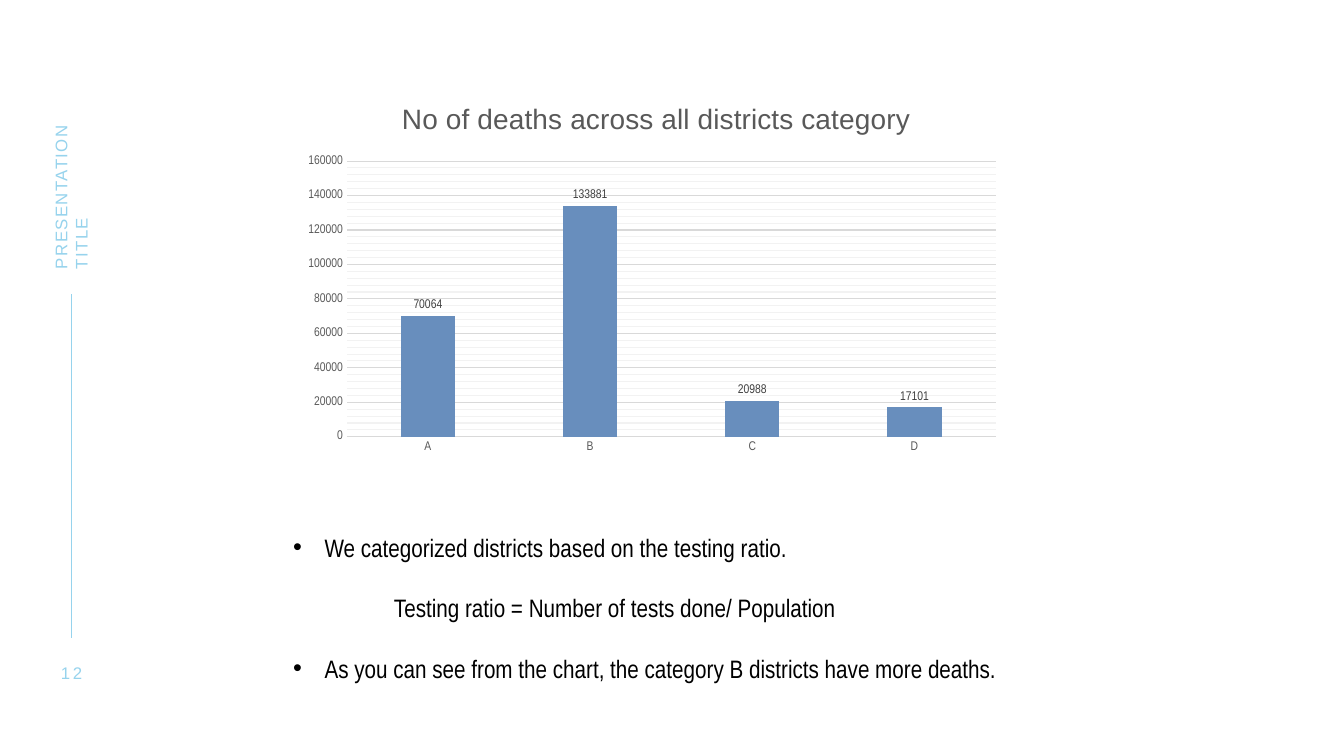
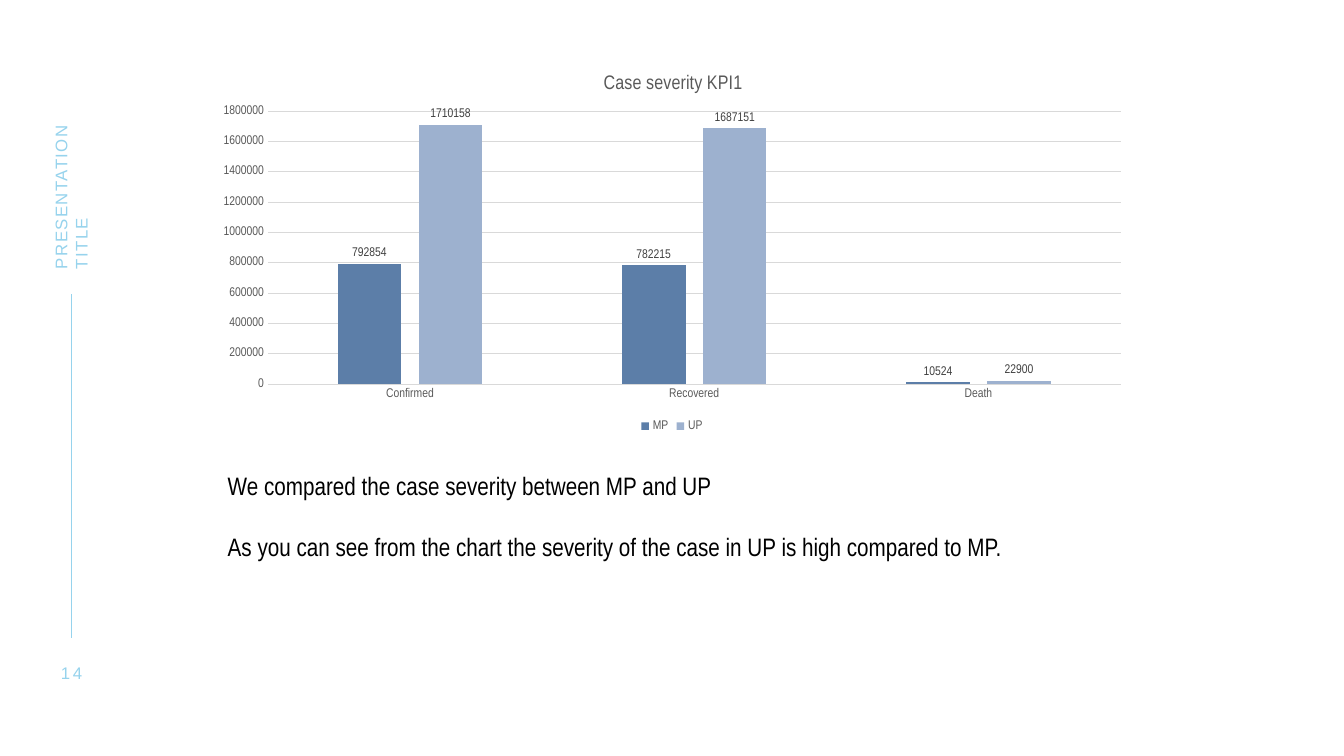
from lxml import etree
from pptx import Presentation
from pptx import util as u
from pptx.chart import data
from pptx.dml.color import RGBColor
from pptx.enum import chart as charts, shapes, text
from pptx.oxml import ns


def colour(code):
    """Turn a hex string into a colour."""
    return RGBColor.from_string(code)


def style_font(font, name, size, code):
    """Set the face, size and colour of a font."""
    font.name, font.size, font.bold = name, u.Pt(size), False
    font.color.rgb = colour(code)


def add_bullet(para, indent):
    """Give a paragraph a hanging bullet."""
    props = para._p.get_or_add_pPr()
    props.set("marL", str(u.Cm(indent)))
    props.set("indent", str(-u.Cm(indent)))
    etree.SubElement(props, ns.qn("a:buFont")).set("typeface", "Arial")
    etree.SubElement(props, ns.qn("a:buChar")).set("char", "•")


def write(para, words, font="Arial Narrow", size=18, code="000000", align="LEFT",
          tracking=0, before=0, bullet=False, indent=0):
    """Write words into a paragraph in the given format."""
    para.alignment = getattr(text.PP_ALIGN, align)
    para.space_before = u.Pt(before)
    span = para.add_run()
    span.text = words
    style_font(span.font, font, size, code)
    if tracking:
        span._r.get_or_add_rPr().set("spc", str(tracking * 100))
    if bullet:
        add_bullet(para, indent)
    elif indent:
        para._p.get_or_add_pPr().set("marL", str(u.Cm(indent)))


def place_part(part, index, frame, area):
    """Fix a chart part at a place given in slide centimetres."""
    for old in part.findall(ns.qn("c:layout")):
        part.remove(old)
    layout = etree.Element(ns.qn("c:layout"))
    part.insert(index, layout)
    manual = etree.SubElement(layout, ns.qn("c:manualLayout"))
    left, top, width, height = frame
    values = {"x": (area[0] - left) / width, "y": (area[1] - top) / height}
    settings = {"xMode": "edge", "yMode": "edge"}
    if len(area) == 4:
        settings = {"layoutTarget": "inner", **settings}
        values.update(w=area[2] / width, h=area[3] / height)
    for tag, value in {**settings, **values}.items():
        etree.SubElement(manual, ns.qn("c:" + tag)).set("val", str(value))


def add_minor_grid(axis, unit, code, width):
    """Add minor grid lines of one colour to a value axis."""
    axis.minor_unit = unit
    axis.has_minor_gridlines = True
    branch = axis._element.find(ns.qn("c:minorGridlines"))
    for tag in ("c:spPr", "a:ln", "a:solidFill", "a:srgbClr"):
        branch = etree.SubElement(branch, ns.qn(tag))
        if tag == "a:ln":
            branch.set("w", str(u.Pt(width)))
    branch.set("val", code)


class Deck:
    """Holds the shared style and the current slide."""
    ACCENT, GREY, GRID, FAINT, LABEL = "96D3ED", "595959", "D9D9D9", "F2F2F2", "404040"
    NARROW, WIDE = "Arial Narrow", "Arial"
    LINE_GAP = 21.6
    GRID_WIDTH = 0.75

    def __init__(self):
        """Start an empty widescreen deck."""
        self.deck = Presentation()
        self.deck.slide_width, self.deck.slide_height = u.Cm(33.87), u.Cm(19.05)
        self.page = None

    def add_page(self, number):
        """Add a slide with the side line, side title and number."""
        self.page = self.deck.slides.add_slide(self.deck.slide_layouts[6])
        self.add_line(1.8, 7.42, 1.8, 16.08)
        self.add_side_text((1.17, 16.71, 1.27, 0.51), number, align="CENTER", tracking=2)
        self.add_side_text((-0.69, 4.04, 4.95, 0.53), "PRESENTATION TITLE",
                           turn=270, tracking=1)

    def add_line(self, *ends):
        """Draw a straight accent line."""
        line = self.page.shapes.add_connector(
            shapes.MSO_CONNECTOR.STRAIGHT, *map(u.Cm, ends))
        line.line.color.rgb = colour(self.ACCENT)
        line.line.width = u.Pt(1)
        etree.SubElement(line._element.spPr, ns.qn("a:effectLst"))

    def add_box(self, area):
        """Add a wrapping text box."""
        box = self.page.shapes.add_textbox(*map(u.Cm, area))
        box.text_frame.word_wrap = True
        return box

    def add_side_text(self, area, words, turn=0, **style):
        """Add a small accent text in the left margin."""
        box = self.add_box(area)
        box.rotation = turn
        frame = box.text_frame
        frame.margin_left = frame.margin_right = frame.margin_top = frame.margin_bottom = 0
        frame.vertical_anchor = text.MSO_ANCHOR.MIDDLE
        write(frame.paragraphs[0], words, font=self.WIDE, size=12, code=self.ACCENT, **style)

    def add_notes(self, area, lines):
        """Add body lines, each a pair of words and format."""
        frame = self.add_box(area).text_frame
        frame.auto_size = text.MSO_AUTO_SIZE.SHAPE_TO_FIT_TEXT
        for row, (words, style) in enumerate(lines):
            para = frame.add_paragraph() if row else frame.paragraphs[0]
            write(para, words, before=self.LINE_GAP if row else 0, **style)

    def add_columns(self, area, plot_area, categories, series, top, step,
                    gap, overlap=0, minor=None, legend=False):
        """Add a column chart; series holds name, colour and values."""
        table = data.CategoryChartData()
        table.categories = categories
        for name, _, values in series:
            table.add_series(name, values)
        chart = self.page.shapes.add_chart(
            charts.XL_CHART_TYPE.COLUMN_CLUSTERED, *map(u.Cm, area), table).chart
        style_font(chart.font, self.NARROW, 10, "000000")
        plot = chart.plots[0]
        plot.vary_by_categories = False
        plot.gap_width, plot.overlap = gap, overlap
        for column, (_, code, _) in zip(plot.series, series):
            column.format.fill.solid()
            column.format.fill.fore_color.rgb = colour(code)
            column.format.line.fill.background()
            labels = column.data_labels
            labels.show_value = True
            labels.position = charts.XL_LABEL_POSITION.OUTSIDE_END
            style_font(labels.font, self.NARROW, 9, self.LABEL)
        self.style_axes(chart, top, step, minor)
        chart.has_legend = legend
        if legend:
            chart.legend.position = charts.XL_LEGEND_POSITION.BOTTOM
            chart.legend.include_in_layout = False
            style_font(chart.legend.font, self.NARROW, 9, self.GREY)
        place_part(chart.element.find(".//" + ns.qn("c:plotArea")), 0, area, plot_area)
        return chart

    def style_axes(self, chart, top, step, minor):
        """Set the scale, labels and grid lines of both axes."""
        for axis in (chart.category_axis, chart.value_axis):
            axis.major_tick_mark = axis.minor_tick_mark = charts.XL_TICK_MARK.NONE
            style_font(axis.tick_labels.font, self.NARROW, 9, self.GREY)
        scale = chart.value_axis
        scale.minimum_scale, scale.maximum_scale, scale.major_unit = 0, top, step
        scale.format.line.fill.background()
        for part in (chart.category_axis, scale.major_gridlines):
            part.format.line.color.rgb = colour(self.GRID)
            part.format.line.width = u.Pt(self.GRID_WIDTH)
        if minor:
            add_minor_grid(scale, minor, self.FAINT, self.GRID_WIDTH)

    def add_chart_title(self, chart, area, corner, words, **style):
        """Title a chart with its top left corner at a fixed place."""
        chart.has_title = True
        write(chart.chart_title.text_frame.paragraphs[0], words, code=self.GREY, **style)
        title = chart.element.find(".//" + ns.qn("c:title"))
        place_part(title, 1, area, corner)

    def save(self):
        """Write the deck to its file."""
        self.deck.save("out.pptx")


def build_deaths(deck):
    """Build the slide on deaths by district category."""
    deck.add_page("12")
    area = (7.14, 1.88, 18.75, 10.54)
    chart = deck.add_columns(
        area, (8.74, 4.06, 16.35, 6.95), ["A", "B", "C", "D"],
        [("Series 1", "688EBD", (70064, 133881, 20988, 17101))],
        top=160000, step=20000, minor=4000, gap=199)
    deck.add_chart_title(chart, area, (10, 2.41), "No of deaths across all districts category",
                         font=deck.WIDE, size=20)
    bullet = {"bullet": True, "indent": 0.79}
    deck.add_notes((7.14, 13.28, 18.59, 4.11), [
        ("We categorized districts based on the testing ratio.", bullet),
        ("Testing ratio = Number of tests done/ Population", {"indent": 2.54}),
        ("As you can see from the chart, the category B districts have more deaths.", bullet)])


def build_severity(deck):
    """Build the slide that compares case severity."""
    deck.add_page("14")
    area = (5.16, 1.37, 23.55, 9.63)
    chart = deck.add_columns(
        area, (6.75, 2.8, 21.49, 6.88), ["Confirmed", "Recovered", "Death"],
        [("MP", "5C7EA8", (792854, 782215, 10524)),
         ("UP", "9DB1CF", (1710158, 1687151, 22900))],
        top=1800000, step=200000, gap=219, overlap=-27, legend=True)
    deck.add_chart_title(chart, area, (15.12, 1.73), "Case severity KPI1", size=14)
    deck.add_notes((5.49, 11.73, 20.35, 2.57), [
        ("We compared the case severity between MP and UP", {}),
        ("As you can see from the chart the severity of the case in UP is high"
         " compared to MP.", {})])


def main():
    """Build and save both slides."""
    deck = Deck()
    build_deaths(deck)
    build_severity(deck)
    deck.save()


main()
